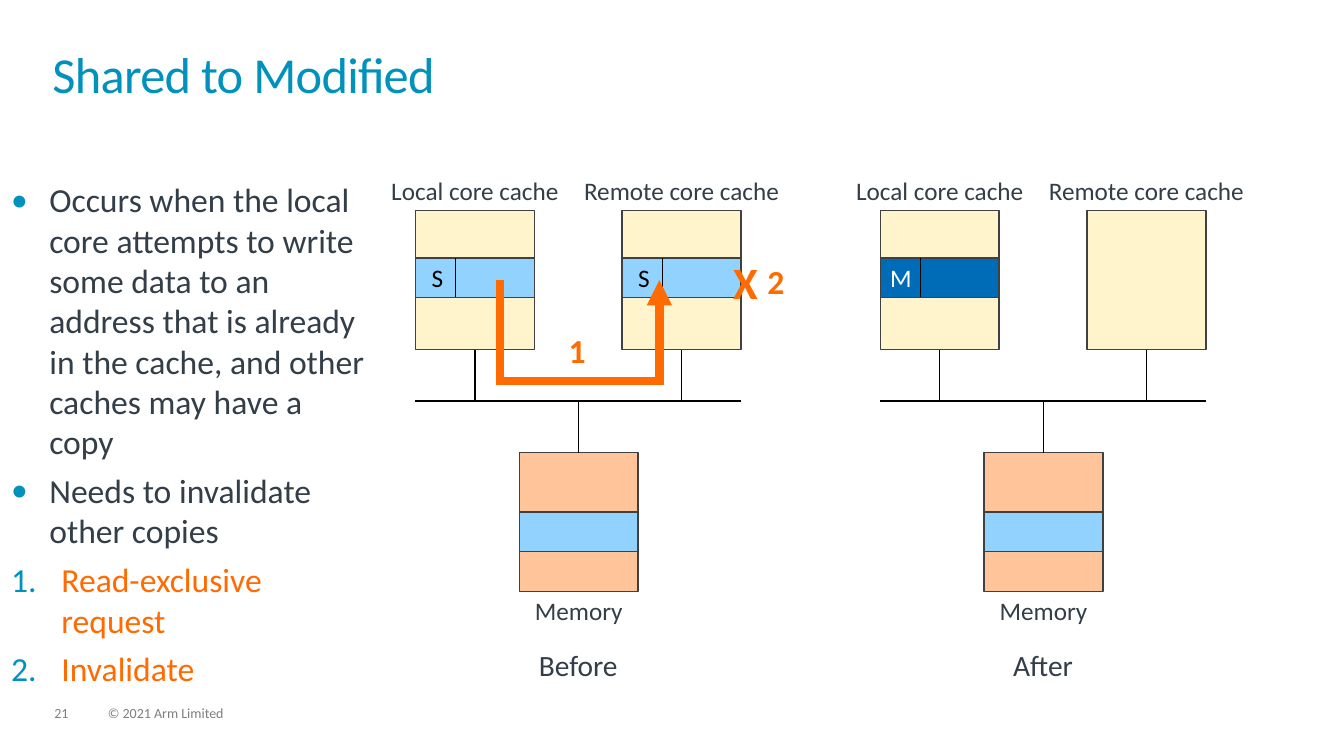
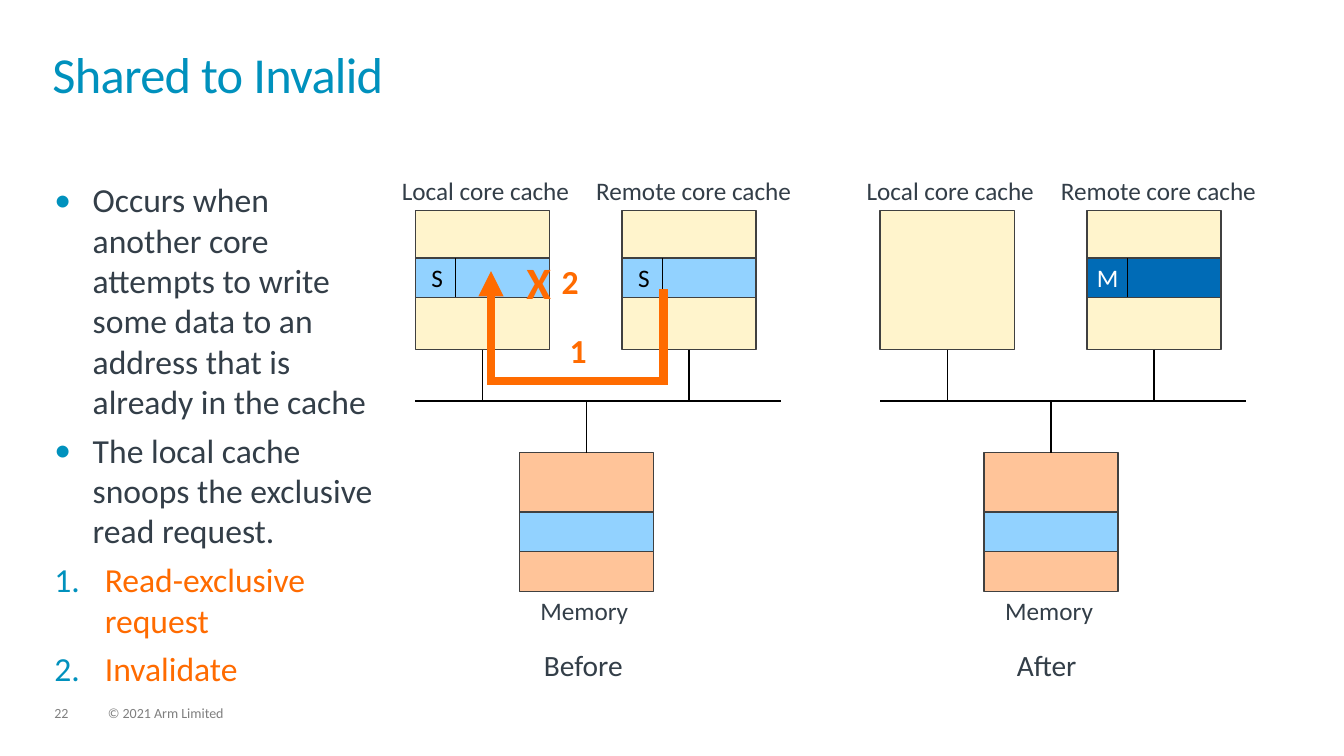
from lxml import etree
from pptx import Presentation
from pptx import util as u
from pptx.dml.color import RGBColor
from pptx.enum import shapes, text
from pptx.oxml.ns import qn

PX = 9144  # 100 px to the inch
FONT = "Calibri"
TEAL, SLATE, GREY, ORANGE = "0091BD", "333E48", "7F7F7F", "FF6B00"
CREAM, PEACH, SKY, OUTLINE = "FFF4CC", "FFC499", "92D2FF", "404040"
BLACK, WHITE = "000000", "FFFFFF"
COPYRIGHT = "© 2021 Arm Limited"
PANEL_LEFTS, PANEL_TOP = (412, 873), 177
CACHE_STEP = 205
STATES = {
    "S": {"fill": SKY, "color": BLACK, "inset": 16},
    "M": {"fill": "006BB6", "color": WHITE, "inset": 10},
}
BULLET = {"indent": 38, "tag": "a:buChar", "attributes": {"char": "•"}, "color": SLATE}
NUMBER = {"indent": 50, "tag": "a:buAutoNum",
          "attributes": {"type": "arabicPeriod"}, "color": ORANGE}

SLIDES = [
    {
        "number": 21, "title": "Shared to Modified", "stretch": 1,
        "body": (11, 178, 354, 447),
        "bullets": ["Occurs when the local core attempts to write some data to an address "
                    "that is already in the cache, and other caches may have a copy",
                    "Needs to invalidate other copies"],
        "panels": [("Before", 122, 79, "SS"), ("After", 131, 61, ("M", None))],
        "cross": 315,
        "route": [(84, 101), (84, 201), (242, 201), (242, 101)],
    },
    {
        "number": 22, "title": "Shared to Invalid", "stretch": 1.125,
        "body": (54, 178, 320, 447),
        "bullets": ["Occurs when another core attempts to write some data to an address "
                    "that is already in the cache",
                    "The local cache snoops the exclusive read request."],
        "panels": [("Before", 122, 89, "SS"), ("After", 131, 68, (None, "M"))],
        "cross": 110,
        "route": [(246, 110), (246, 201), (75, 201), (75, 92)],
    },
]


def px(*lengths):
    return [u.Emu(int(length * PX)) for length in lengths]


def rgb(value):
    return RGBColor.from_string(value)


def apply(target, values):
    for name, value in values.items():
        setattr(target, name, value)


def add_run(paragraph, words, size, color, bold=False):
    run = paragraph.add_run()
    run.text = words
    apply(run.font, {"name": FONT, "size": u.Pt(size), "bold": bold})
    run.font.color.rgb = rgb(color)
    return run


def add_frame(slide, box, wrap=True):
    frame = slide.shapes.add_textbox(*px(*box)).text_frame
    apply(frame, {"margin_left": 0, "margin_top": 0, "margin_right": 0,
                  "margin_bottom": 0, "word_wrap": wrap})
    return frame


def add_label(slide, box, words, size, color=SLATE, bold=False,
              align=text.PP_ALIGN.CENTER, spacing=0.9, wrap=False):
    paragraph = add_frame(slide, box, wrap).paragraphs[0]
    apply(paragraph, {"alignment": align, "line_spacing": spacing})
    return add_run(paragraph, words, size, color, bold)


def add_block(slide, box, fill):
    shape = slide.shapes.add_shape(shapes.MSO_SHAPE.RECTANGLE, *px(*box))
    shape.shadow.inherit = False
    shape.fill.solid()
    shape.fill.fore_color.rgb = rgb(fill)
    shape.line.color.rgb = rgb(OUTLINE)
    shape.line.width = u.Pt(1)
    return shape


def add_line(slide, start, end):
    line = slide.shapes.add_connector(shapes.MSO_CONNECTOR.STRAIGHT, *px(*start, *end))
    line.line.color.rgb = rgb(BLACK)
    line.line.width = u.Pt(1)
    etree.SubElement(line._element.spPr, qn("a:effectLst"))
    return line


def add_route(slide, points):
    """Draw a thick bent arrow through the points, pointing at the last one."""
    builder = slide.shapes.build_freeform(*points[0], scale=PX)
    builder.add_line_segments(points[1:], close=False)
    route = builder.convert_to_shape()
    route.shadow.inherit = False
    route.fill.background()
    route.line.color.rgb = rgb(ORANGE)
    route.line.width = u.Pt(6)
    outline = route.line._get_or_add_ln()
    etree.SubElement(outline, qn("a:miter"), lim="800000")
    etree.SubElement(outline, qn("a:tailEnd"), type="triangle")


def add_state_row(slide, box, state):
    left, top, _, height = box
    style = STATES[state]
    row = add_block(slide, box, style["fill"])
    apply(row.text_frame, {"margin_left": px(style["inset"])[0],
                           "vertical_anchor": text.MSO_ANCHOR.MIDDLE})
    paragraph = row.text_frame.paragraphs[0]
    paragraph.alignment = text.PP_ALIGN.LEFT
    add_run(paragraph, state, 18, style["color"])
    add_line(slide, (left + 40, top), (left + 40, top + height))


def add_panel(slide, left, top, stretch, panel):
    """Draw two caches on a bus with the memory below; no state means no line held."""
    caption, caption_left, caption_width, states = panel
    width = round(118 * stretch)
    bus = top + 221
    add_line(slide, (left, bus), (left + round(323 * stretch), bus))

    labels = [("Local core cache", -25, 168), ("Remote core cache", 166, 196)]
    for index, (state, (name, offset, label_width)) in enumerate(zip(states, labels)):
        cache_left = left + index * CACHE_STEP
        middle = cache_left + width / 2
        cache = add_block(slide, (cache_left, top + 32, width, 138), CREAM)
        stem = add_line(slide, (middle, top + 170), (middle, bus))
        stem.begin_connect(cache, 2)
        add_label(slide, (left + offset, top, round(label_width * stretch), 27), name, 18)
        if state:
            add_state_row(slide, (cache_left, top + 79, width, 39), state)

    memory_left = left + 103
    middle = memory_left + width / 2
    memory = add_block(slide, (memory_left, top + 272, width, 138), PEACH)
    add_line(slide, (middle, bus), (middle, top + 272)).end_connect(memory, 0)
    add_block(slide, (memory_left, top + 331, width, 39), SKY)
    add_label(slide, (left + 118, top + 417, round(88 * stretch), 27), "Memory", 18)
    add_label(slide, (left + caption_left, top + 469, caption_width, 32), caption, 21)


def add_messages(slide, left, top, stretch, cross, route):
    """Mark the request (1) and the invalidation (2) over a panel."""
    digit = round(17 * stretch)
    add_label(slide, (left + cross + 34, top + 86, digit, 36), "2", 24, ORANGE, True)
    add_label(slide, (left + 152, top + 155, digit, 36), "1", 24, ORANGE, True)
    add_label(slide, (left + cross, top + 82, round(25 * stretch), 48), "X", 32, ORANGE,
              True, text.PP_ALIGN.LEFT)
    add_route(slide, [(left + x, top + y) for x, y in route])


def add_body(slide, box, bullets):
    frame = add_frame(slide, box)
    items = [(words, BULLET) for words in bullets]
    items += [(words, NUMBER) for words in ("Read-exclusive request", "Invalidate")]
    for index, (words, style) in enumerate(items):
        paragraph = frame.add_paragraph() if index else frame.paragraphs[0]
        paragraph.space_before = u.Pt(6 if index else 0)
        properties = paragraph._p.get_or_add_pPr()
        indent = style["indent"] * PX
        properties.set("marL", str(indent))
        properties.set("indent", str(-indent))
        marker_color = etree.SubElement(properties, qn("a:buClr"))
        etree.SubElement(marker_color, qn("a:srgbClr"), val=TEAL)
        etree.SubElement(properties, qn("a:buFont"), typeface=FONT)
        etree.SubElement(properties, qn(style["tag"]), style["attributes"])
        add_run(paragraph, words, 24, style["color"])


def add_title_and_footer(slide, title, number):
    left = text.PP_ALIGN.LEFT
    run = add_label(slide, (52, 52, 1228, 72), title, 36, TEAL, align=left,
                    spacing=0.85, wrap=True)
    run.font._element.set("spc", "-50")
    for box, words in (((54, 701, 34, 15), str(number)), ((107, 701, 507, 15), COPYRIGHT)):
        add_label(slide, box, words, 10, GREY, align=left, wrap=True)


def add_transition_slide(presentation, content):
    slide = presentation.slides.add_slide(presentation.slide_layouts[6])
    stretch = content["stretch"]
    add_title_and_footer(slide, content["title"], content["number"])
    add_body(slide, content["body"], content["bullets"])
    for left, panel in zip(PANEL_LEFTS, content["panels"]):
        add_panel(slide, left, PANEL_TOP, stretch, panel)
    add_messages(slide, PANEL_LEFTS[0], PANEL_TOP, stretch,
                 content["cross"], content["route"])


def main():
    presentation = Presentation()
    presentation.slide_width, presentation.slide_height = px(1333, 750)
    for content in SLIDES:
        add_transition_slide(presentation, content)
    presentation.save("out.pptx")


if __name__ == "__main__":
    main()
